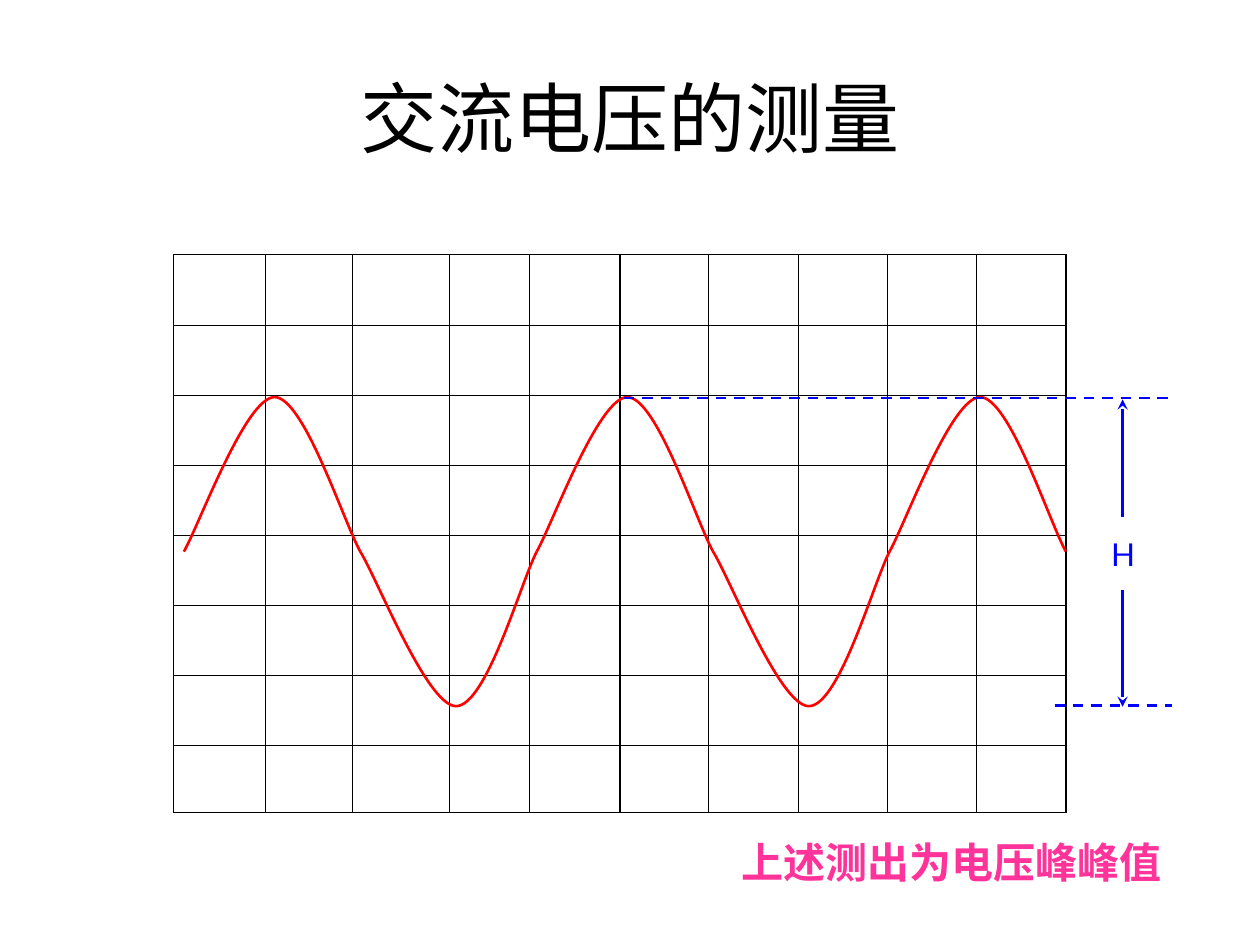
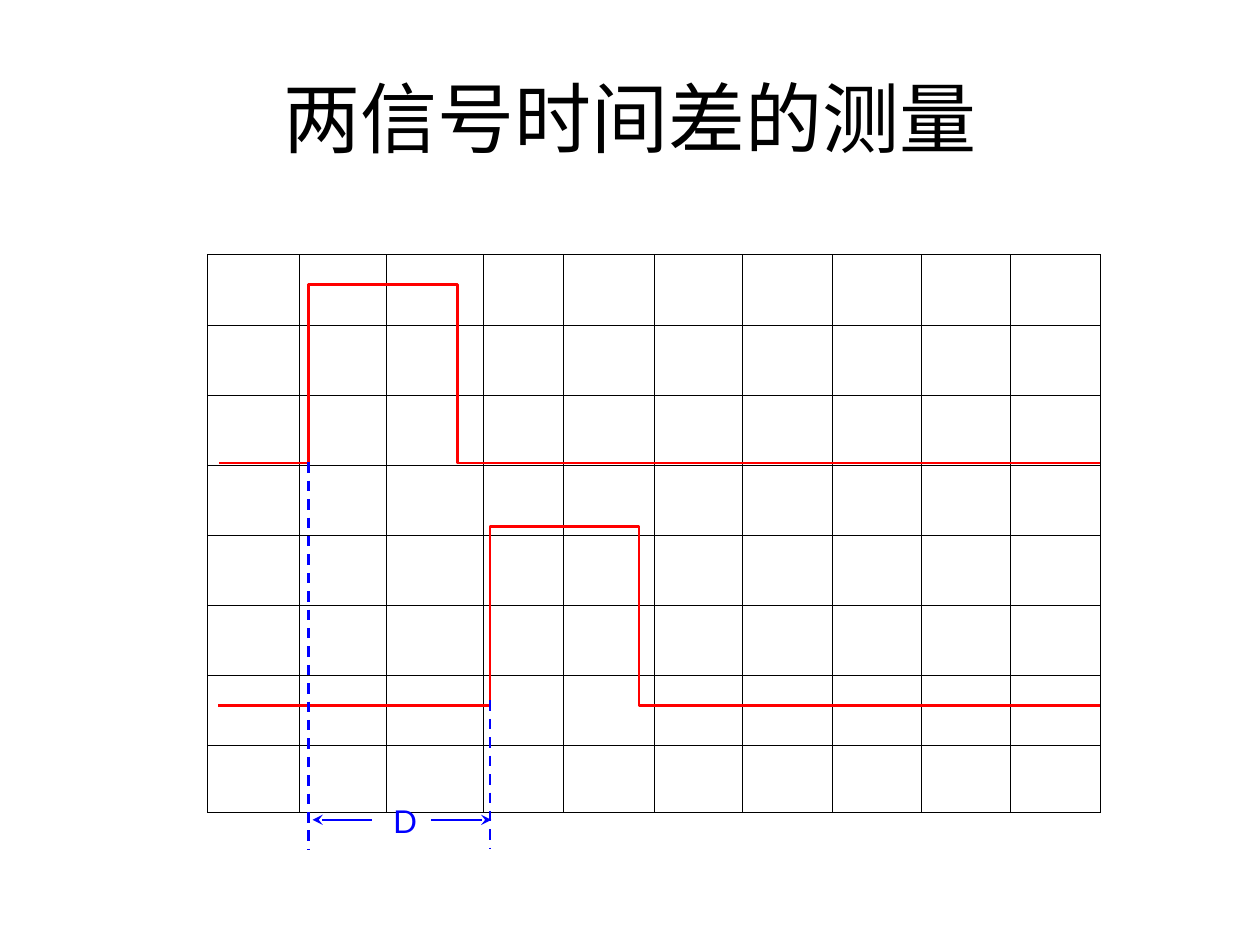
from lxml import etree
from pptx import Presentation
from pptx.dml.color import RGBColor
from pptx.enum import dml, shapes, text
from pptx.oxml.ns import qn
from pptx.util import Pt

# Content: all lengths in points
BLACK, RED, BLUE, PINK = "000000", "FF0000", "0000FF", "FF3399"
TITLE_BOX = (36, 21.6, 648, 90)
TITLE_FONT = {"name": "Arial", "size": Pt(44)}
LABEL_FONT = {"name": "Lato", "size": Pt(18)}
NOTE_FONT = {"name": "Lato", "size": Pt(24), "bold": True}
SIGNAL_WIDTH = 1.5

# Oscilloscope screen
COLS = [52.5, 49.6, 55.4, 46.1, 51.8, 50.4] + [51.1] * 4
ROWS = [40.1] * 7 + [38.3]
GRID_TOP = 145.6
EDGE, AXIS, INNER = 0.75, 1.08, 0.45

AC = {
    "title": "交流电压的测量",
    "grid_left": 99.1,
    "marks": [  # from, to, kind
        ((356.4, 227.4), (669.6, 227.4), "dash"),
        ((602.6, 403.2), (669.6, 403.2), "dash"),
        ((641.5, 295.2), (641.5, 228.2), "arrow"),
        ((641.5, 337), (641.5, 403.9), "arrow"),
    ],
    "label": ("H", (623.5, 302.4, 36.7, 28.8)),
}
NOTE = ("上述测出为电压峰峰值", (388.1, 474.5, 311.8, 36))

# Sine wave: start, midline, amplitude, half period
WAVE_LEFT, WAVE_MID, AMPLITUDE, HALF = 105.1, 315.2, 88.3, 100.8
# Bezier points of a half wave: x offset, height as a share of the amplitude
CREST = [(0, 0), (8.6, 0.17), (35.3, 1), (51.8, 1), (68.4, 1), (90.7, 0.21), (HALF, 0)]
TROUGH = [(0, 0), (9.4, -0.17), (38.2, -1), (54.7, -1), (72, -1), (91.4, -0.21), (HALF, 0)]

DELAY = {
    "title": "两信号时间差的测量",
    "grid_left": 118.6,
    "marks": [
        ((212.4, 468.5), (178.6, 468.5), "arrow"),
        ((176.4, 264.2), (176.4, 485.3), "dash"),
        ((280.1, 400.3), (280.1, 485.3), "dash"),
        ((246.2, 468.5), (280.8, 468.5), "arrow"),
    ],
    "label": ("D", (213.1, 455, 36.7, 28.8)),
}
PULSES = [(125.1, 176.4, 264.6), (124.8, 280.1, 403.2)]  # left, rise, base
PULSE_WIDTH, PULSE_HEIGHT, PULSE_RIGHT = 85, 102.2, 628.4


def rgb(hex_color):
    return RGBColor.from_string(hex_color)


def set_font(p, values, color):
    for name, value in values.items():
        setattr(p.font, name, value)
    p.font.color.rgb = rgb(color)


def set_line(sp, color):
    sp.line.color.rgb = rgb(color)
    sp.line.width = Pt(SIGNAL_WIDTH)


def border_width(i, count):
    return EDGE if i in (0, count) else AXIS if i == count // 2 else INNER


def add_border(tc_pr, index, tag, width):
    ln = etree.Element(qn(f"a:{tag}"), w=str(Pt(width)))
    fill = etree.SubElement(ln, qn("a:solidFill"))
    etree.SubElement(fill, qn("a:srgbClr"), val=BLACK)
    tc_pr.insert(index, ln)


def add_grid(s, left):
    nr, nc = len(ROWS), len(COLS)
    frame = s.shapes.add_table(nr, nc, Pt(left), Pt(GRID_TOP), Pt(sum(COLS)), Pt(sum(ROWS)))
    table = frame.table
    table.first_row = table.horz_banding = False
    for col, width in zip(table.columns, COLS):
        col.width = Pt(width)
    for row, height in zip(table.rows, ROWS):
        row.height = Pt(height)
    for r in range(nr):
        for c in range(nc):
            cell = table.cell(r, c)
            cell.fill.background()
            tc_pr = cell._tc.get_or_add_tcPr()
            borders = [("lnL", c, nc), ("lnR", c + 1, nc), ("lnT", r, nr), ("lnB", r + 1, nr)]
            for index, (tag, i, count) in enumerate(borders):
                add_border(tc_pr, index, tag, border_width(i, count))


def add_signal(parent, points):
    points = [(Pt(x), Pt(y)) for x, y in points]
    fb = parent.shapes.build_freeform(*points[0])
    fb.add_line_segments(points[1:], close=False)
    sp = fb.convert_to_shape()
    sp.shadow.inherit = False
    sp.fill.background()
    set_line(sp, RED)
    return sp


def make_curved(sp):
    """Turn every three line segments into one Bezier curve."""
    lines = list(sp._element.iter(qn("a:lnTo")))
    for i in range(0, len(lines), 3):
        curve = etree.Element(qn("a:cubicBezTo"))
        lines[i].addprevious(curve)
        for line in lines[i:i + 3]:
            curve.append(line[0])
            line.getparent().remove(line)


def add_mark(parent, start, end, kind):
    sp = parent.shapes.add_connector(shapes.MSO_CONNECTOR.STRAIGHT, *map(Pt, start + end))
    set_line(sp, BLUE)
    if kind == "dash":
        sp.line.dash_style = dml.MSO_LINE.DASH
    else:
        etree.SubElement(sp.line._get_or_add_ln(), qn("a:tailEnd"), type="stealth")
    etree.SubElement(sp._element.spPr, qn("a:effectLst"))


def add_label(parent, words, box, font, color):
    tf = parent.shapes.add_textbox(*map(Pt, box)).text_frame
    tf.word_wrap = True
    tf.auto_size = text.MSO_AUTO_SIZE.SHAPE_TO_FIT_TEXT
    p = tf.paragraphs[0]
    p.text = words
    p.alignment = text.PP_ALIGN.CENTER
    set_font(p, font, color)


def add_slide(prs, content):
    s = prs.slides.add_slide(prs.slide_layouts[5])
    title = s.shapes.title
    title.left, title.top, title.width, title.height = map(Pt, TITLE_BOX)
    tf = title.text_frame
    tf.text = content["title"]
    tf.vertical_anchor = text.MSO_ANCHOR.MIDDLE
    tf.paragraphs[0].alignment = text.PP_ALIGN.CENTER
    set_font(tf.paragraphs[0], TITLE_FONT, BLACK)
    add_grid(s, content["grid_left"])
    return s


def add_measure(s, content):
    group = s.shapes.add_group_shape()
    for mark in content["marks"]:
        add_mark(group, *mark)
    add_label(group, *content["label"], LABEL_FONT, BLUE)


def main():
    prs = Presentation()
    prs.slide_width, prs.slide_height = Pt(720), Pt(540)

    # Peak-to-peak voltage
    s = add_slide(prs, AC)
    wave = s.shapes.add_group_shape()
    for i, half in enumerate([CREST, TROUGH, CREST, TROUGH, CREST]):
        left = WAVE_LEFT + i * HALF
        make_curved(add_signal(wave, [(left + x, WAVE_MID - y * AMPLITUDE) for x, y in half]))
    add_measure(s, AC)
    add_label(s, *NOTE, NOTE_FONT, PINK)

    # Delay between two pulses
    s = add_slide(prs, DELAY)
    for left, rise, base in PULSES:
        fall, top = rise + PULSE_WIDTH, base - PULSE_HEIGHT
        add_signal(s, [(left, base), (rise, base), (rise, top),
                       (fall, top), (fall, base), (PULSE_RIGHT, base)])
    add_measure(s, DELAY)

    prs.save("out.pptx")


if __name__ == "__main__":
    main()
